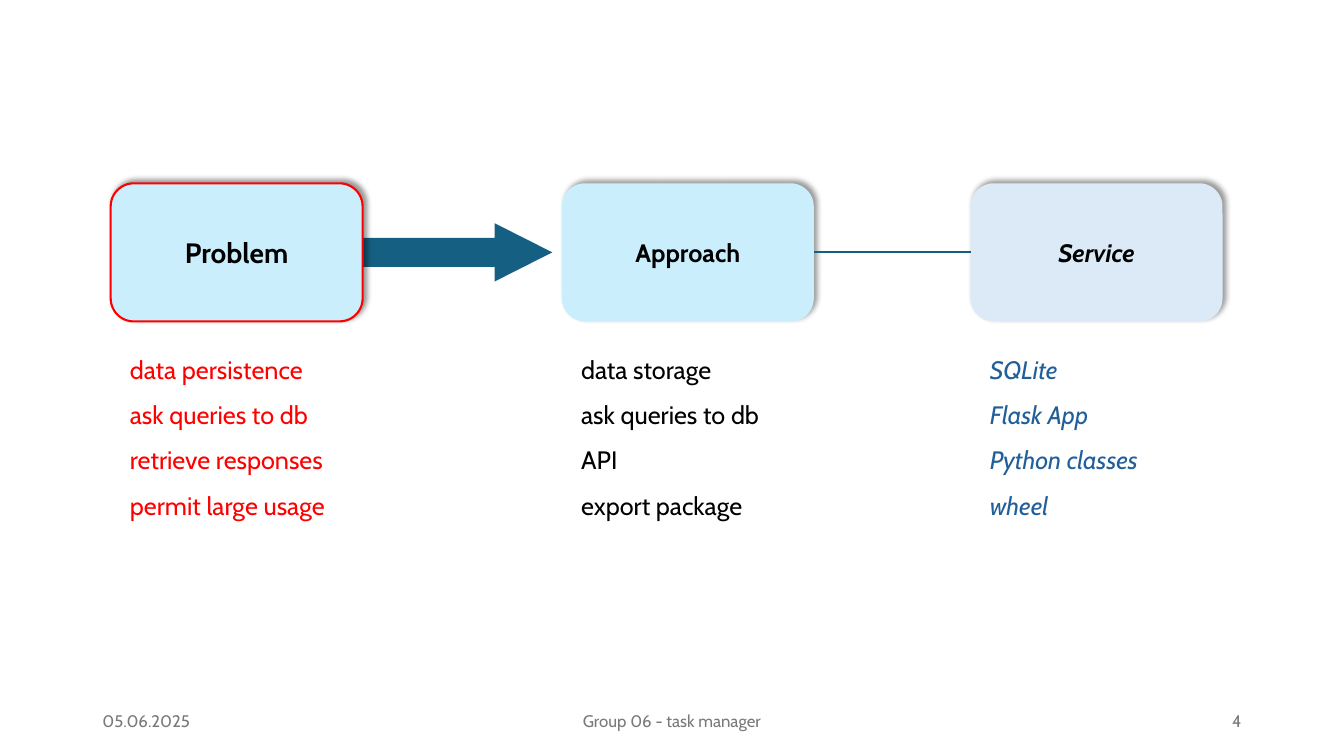
from dataclasses import dataclass

from lxml import etree
from pptx import Presentation
from pptx.dml.color import RGBColor
from pptx.enum.shapes import MSO_CONNECTOR, MSO_SHAPE
from pptx.enum.text import MSO_ANCHOR, MSO_AUTO_SIZE, PP_ALIGN
from pptx.oxml.ns import qn
from pptx.util import Cm, Pt

ROUNDED, ARROW = MSO_SHAPE.ROUNDED_RECTANGLE, MSO_SHAPE.RIGHT_ARROW
STRAIGHT = MSO_CONNECTOR.STRAIGHT
TOP, MIDDLE = MSO_ANCHOR.TOP, MSO_ANCHOR.MIDDLE
GROW = MSO_AUTO_SIZE.SHAPE_TO_FIT_TEXT
LEFT, CENTER, RIGHT = PP_ALIGN.LEFT, PP_ALIGN.CENTER, PP_ALIGN.RIGHT
LEFT_SIDE, RIGHT_SIDE = 1, 3
COMPARISON_LAYOUT = 4


@dataclass(frozen=True)
class Theme:
    """Holds the colours, font and type sizes of the slide."""
    font: str = "Cabin"
    black: str = "000000"
    red: str = "FF0000"
    blue: str = "215F9A"
    teal: str = "156082"
    sky: str = "CAEEFB"
    pale: str = "DCEAF7"
    grey: str = "797979"
    lead: int = 20
    body: int = 18
    footer: int = 12
    line: float = 1.5


THEME = Theme()


@dataclass(frozen=True)
class Stage:
    """Describes one stage: its heading, its points and their look."""
    heading: str
    points: tuple
    left: float
    fill: str
    text_color: str
    size: int = THEME.body
    outline: str = ""
    italic: bool = False


STAGES = (
    Stage("Problem", ("data persistence", "ask queries to db",
                      "retrieve responses", "permit large usage"),
          2.79, THEME.sky, THEME.red, size=THEME.lead, outline=THEME.red),
    Stage("Approach", ("data storage", "ask queries to db", "API", "export package"),
          14.16, THEME.sky, THEME.black),
    Stage("Service", ("SQLite", "Flask App", "Python classes", "wheel"),
          24.46, THEME.pale, THEME.blue, italic=True),
)
CARD_TOP, CARD_WIDTH, CARD_HEIGHT = 4.62, 6.35, 3.48
FOOTER = (
    ("05.06.2025", 2.33, 7.62, LEFT),
    ("Group 06 - task manager", 11.22, 11.43, CENTER),
    ("4", 23.92, 7.62, RIGHT),
)


def rgb(color):
    """Turns a hex string into a colour."""
    return RGBColor.from_string(color)


def add_run(paragraph, text, size, color, bold=False, italic=False):
    """Adds one formatted run to a paragraph."""
    run = paragraph.add_run()
    run.text = text
    run.font.name = THEME.font
    run.font.size = Pt(size)
    run.font.bold = bold
    run.font.italic = italic
    run.font.color.rgb = rgb(color)


def add_shadow(card):
    """Gives a card a soft shadow towards the upper right."""
    card.shadow.inherit = False
    effects = card._element.spPr.find(qn("a:effectLst"))
    shadow = etree.SubElement(effects, qn("a:outerShdw"), blurRad="50800",
                              dist="38100", dir="18900000", algn="bl", rotWithShape="0")
    black = etree.SubElement(shadow, qn("a:srgbClr"), val=THEME.black)
    etree.SubElement(black, qn("a:alpha"), val="40000")


def add_card(slide, stage, left, top, width, height):
    """Draws the heading card of a stage in the given box."""
    card = slide.shapes.add_shape(ROUNDED, Cm(left), Cm(top), Cm(width), Cm(height))
    card.fill.solid()
    card.fill.fore_color.rgb = rgb(stage.fill)
    if stage.outline:
        card.line.color.rgb = rgb(stage.outline)
        card.line.width = Pt(THEME.line)
    else:
        card.line.fill.background()
    add_shadow(card)
    card.text_frame.vertical_anchor = MIDDLE
    heading = card.text_frame.paragraphs[0]
    heading.alignment = CENTER
    add_run(heading, stage.heading, stage.size, THEME.black, bold=True, italic=stage.italic)
    return card


def fill_points(body, stage, left, top, width, height):
    """Places a body placeholder in the given box and lists the stage's points."""
    body.left, body.top, body.width, body.height = Cm(left), Cm(top), Cm(width), Cm(height)
    frame = body.text_frame
    frame.word_wrap = True
    frame.vertical_anchor = TOP
    frame.auto_size = GROW
    for index, point in enumerate(stage.points):
        paragraph = frame.add_paragraph() if index else frame.paragraphs[0]
        properties = paragraph._p.get_or_add_pPr()
        properties.set("marL", "0")
        properties.set("indent", "0")
        etree.SubElement(properties, qn("a:buNone"))
        paragraph.alignment = LEFT
        paragraph.line_spacing = 1.5
        paragraph.space_before = Pt(0)
        add_run(paragraph, point, THEME.body, stage.text_color, italic=stage.italic)


def add_stage(slide, body, stage, left, top, width, height):
    """Builds a stage: its card in the given box and its points below."""
    inset = 0.23
    fill_points(body, stage, left + inset, top + height + 0.31, width - 2 * inset, 5.64)
    return add_card(slide, stage, left, top, width, height)


def add_arrow(slide, left, top, width, height):
    """Draws the block arrow in the given box."""
    arrow = slide.shapes.add_shape(ARROW, Cm(left), Cm(top), Cm(width), Cm(height))
    arrow.adjustments[0] = 0.5
    arrow.adjustments[1] = 0.99
    arrow.fill.solid()
    arrow.fill.fore_color.rgb = rgb(THEME.teal)
    arrow.line.fill.background()
    arrow.shadow.inherit = False


def link_cards(slide, start, end):
    """Joins two cards with a straight line from side to side."""
    link = slide.shapes.add_connector(STRAIGHT, 0, 0, 0, 0)
    link.begin_connect(start, RIGHT_SIDE)
    link.end_connect(end, LEFT_SIDE)
    link.line.color.rgb = rgb(THEME.teal)
    link.line.width = Pt(THEME.line)
    etree.SubElement(link._element.spPr, qn("a:effectLst"))


def add_footer(slide, top, height):
    """Writes the date, the group and the page number along the bottom."""
    for text, left, width, alignment in FOOTER:
        entry = slide.shapes.add_textbox(Cm(left), Cm(top), Cm(width), Cm(height))
        entry.text_frame.word_wrap = True
        entry.text_frame.vertical_anchor = MIDDLE
        paragraph = entry.text_frame.paragraphs[0]
        paragraph.alignment = alignment
        add_run(paragraph, text, THEME.footer, THEME.grey)


def build_stages_slide(deck):
    """Builds the slide that leads from problem to approach to service."""
    slide = deck.slides.add_slide(deck.slide_layouts[COMPARISON_LAYOUT])
    title, *bodies = slide.placeholders
    for unused in (title, *bodies[len(STAGES):]):
        unused._element.getparent().remove(unused._element)
    add_footer(slide, 17.65, 1.02)
    arrow_height = 1.47
    add_arrow(slide, STAGES[0].left + CARD_WIDTH - 0.05,
              CARD_TOP + (CARD_HEIGHT - arrow_height) / 2, 4.83, arrow_height)
    cards = [add_stage(slide, body, stage, stage.left, CARD_TOP, CARD_WIDTH, CARD_HEIGHT)
             for body, stage in zip(bodies, STAGES)]
    link_cards(slide, cards[1], cards[2])


def main():
    """Creates the deck and saves it."""
    deck = Presentation()
    deck.slide_width, deck.slide_height = Cm(33.87), Cm(19.05)
    build_stages_slide(deck)
    deck.save("out.pptx")


if __name__ == "__main__":
    main()
